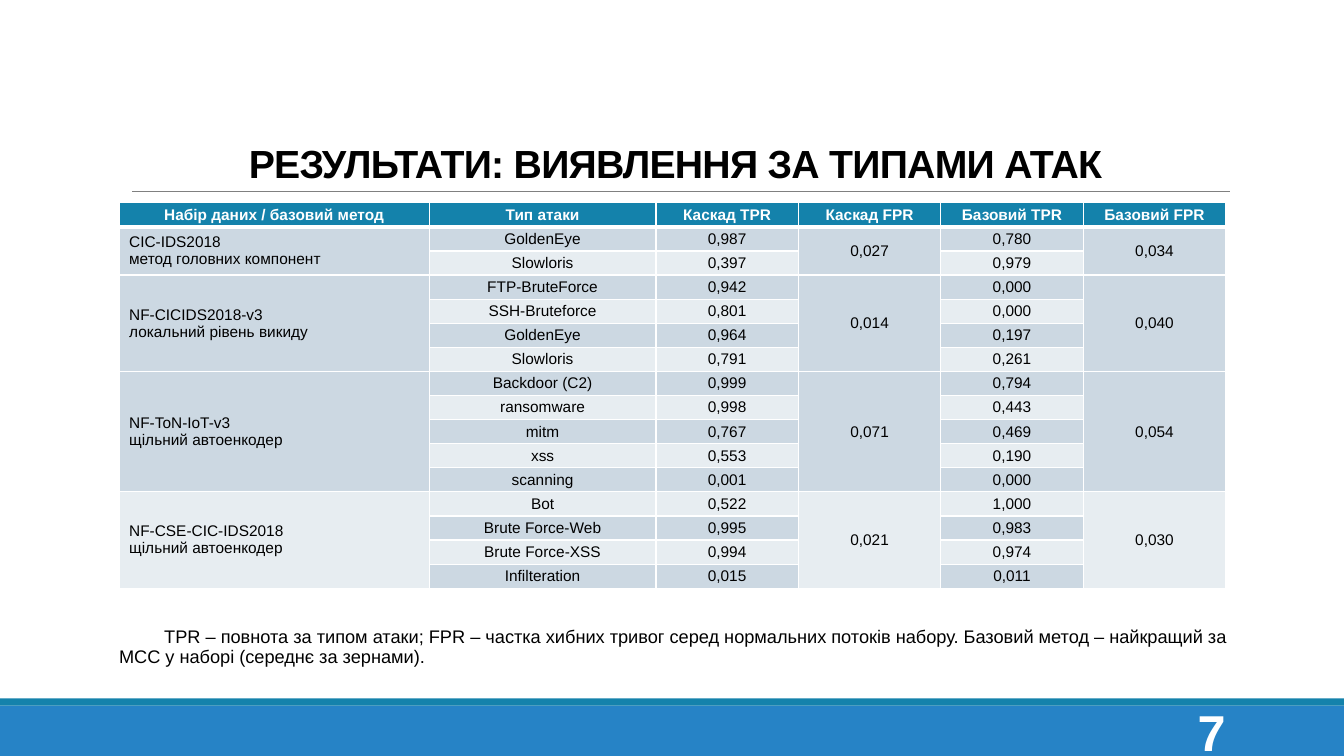
"""Build the slide with detection results by attack type."""
from dataclasses import dataclass

from lxml import etree
from pptx import Presentation
from pptx.dml.color import RGBColor
from pptx.enum.shapes import MSO_CONNECTOR, MSO_SHAPE
from pptx.enum.text import MSO_ANCHOR, PP_ALIGN
from pptx.oxml.ns import qn
from pptx.util import Cm, Pt

RECT, STRAIGHT = MSO_SHAPE.RECTANGLE, MSO_CONNECTOR.STRAIGHT
TOP, MIDDLE, BOTTOM = MSO_ANCHOR.TOP, MSO_ANCHOR.MIDDLE, MSO_ANCHOR.BOTTOM
LEFT, CENTER, RIGHT, JUSTIFY = PP_ALIGN.LEFT, PP_ALIGN.CENTER, PP_ALIGN.RIGHT, PP_ALIGN.JUSTIFY

TITLE = "РЕЗУЛЬТАТИ: ВИЯВЛЕННЯ ЗА ТИПАМИ АТАК"
NOTE = ("TPR – повнота за типом атаки; FPR – частка хибних тривог серед нормальних "
        "потоків набору. Базовий метод – найкращий за MCC у наборі (середнє за зернами).")
PAGE = "7"
HEADERS = ["Набір даних / базовий метод", "Тип атаки", "Каскад TPR",
           "Каскад FPR", "Базовий TPR", "Базовий FPR"]
GROUPS = [
    ("CIC-IDS2018\nметод головних компонент", "0,027", "0,034", [
        ("GoldenEye", "0,987", "0,780"),
        ("Slowloris", "0,397", "0,979")]),
    ("NF-CICIDS2018-v3\nлокальний рівень викиду", "0,014", "0,040", [
        ("FTP-BruteForce", "0,942", "0,000"),
        ("SSH-Bruteforce", "0,801", "0,000"),
        ("GoldenEye", "0,964", "0,197"),
        ("Slowloris", "0,791", "0,261")]),
    ("NF-ToN-IoT-v3\nщільний автоенкодер", "0,071", "0,054", [
        ("Backdoor (C2)", "0,999", "0,794"),
        ("ransomware", "0,998", "0,443"),
        ("mitm", "0,767", "0,469"),
        ("xss", "0,553", "0,190"),
        ("scanning", "0,001", "0,000")]),
    ("NF-CSE-CIC-IDS2018\nщільний автоенкодер", "0,021", "0,030", [
        ("Bot", "0,522", "1,000"),
        ("Brute Force-Web", "0,995", "0,983"),
        ("Brute Force-XSS", "0,994", "0,974"),
        ("Infilteration", "0,015", "0,011")]),
]
COL_WIDTHS = [7.82, 5.71] + [3.59] * 4
ROW_HEIGHT = 0.6
TABLE_LEFT, TABLE_TOP = 3.0, 5.11
MERGED_COLS = (0, 3, 5)


@dataclass(frozen=True)
class Theme:
    """Colours, font and type sizes."""
    font: str = "Arial"
    footer: str = "2683C6"
    accent: str = "1482AB"
    rule: str = "808080"
    text: str = "000000"
    white: str = "FFFFFF"
    bands: tuple = ("E7EDF1", "CCD8E2")
    title_size: int = 28
    note_size: int = 13
    page_size: int = 36
    table_size: int = 11


THEME = Theme()


def rgb(value):
    """Return a colour object."""
    return RGBColor.from_string(value)


def style(p, size, color, bold=False, align=LEFT):
    """Set alignment and font of a paragraph."""
    p.alignment = align
    p.font.name = THEME.font
    p.font.size = Pt(size)
    p.font.bold = bold
    p.font.color.rgb = rgb(color)


def add_bar(s, top, height, color):
    """Add a full-width footer bar."""
    bar = s.shapes.add_shape(RECT, 0, Cm(top), Cm(33.87), Cm(height))
    bar.shadow.inherit = False
    bar.fill.solid()
    bar.fill.fore_color.rgb = rgb(color)
    bar.line.fill.background()


def add_text(s, text, box, anchor, *look):
    """Add a wrapped text box and return its frame and paragraph."""
    tf = s.shapes.add_textbox(*map(Cm, box)).text_frame
    tf.word_wrap = True
    tf.vertical_anchor = anchor
    p = tf.paragraphs[0]
    p.text = text
    style(p, *look)
    return tf, p


def set_borders(cell, bottom):
    """Draw white borders around a cell."""
    tc_pr = cell._tc.get_or_add_tcPr()
    for side, width in (("L", 1), ("R", 1), ("T", 1), ("B", bottom)):
        ln = etree.SubElement(tc_pr, qn(f"a:ln{side}"), w=str(Pt(width)))
        fill = etree.SubElement(ln, qn("a:solidFill"))
        etree.SubElement(fill, qn("a:srgbClr"), val=THEME.white)


def format_cell(cell, row, col):
    """Apply borders, fill, margins and font to a cell."""
    header = row == 0
    set_borders(cell, 3 if header else 1)
    cell.fill.solid()
    cell.fill.fore_color.rgb = rgb(THEME.accent if header else THEME.bands[row % 2])
    cell.vertical_anchor = MIDDLE
    cell.margin_top = cell.margin_bottom = Cm(0.07)
    for p in cell.text_frame.paragraphs:
        style(p, THEME.table_size, THEME.white if header else THEME.text, header,
              CENTER if header or col else LEFT)


def add_results(s):
    """Add the results table with merged group cells."""
    n_rows = 1 + sum(len(attacks) for *_, attacks in GROUPS)
    table = s.shapes.add_table(n_rows, len(HEADERS), Cm(TABLE_LEFT), Cm(TABLE_TOP),
                               Cm(sum(COL_WIDTHS)), Cm(n_rows * ROW_HEIGHT)).table
    for column, width in zip(table.columns, COL_WIDTHS):
        column.width = Cm(width)
    for row in table.rows:
        row.height = Cm(ROW_HEIGHT)
    for col, label in enumerate(HEADERS):
        table.cell(0, col).text = label
    start = 1
    for *shared, attacks in GROUPS:
        for col, value in zip(MERGED_COLS, shared):
            table.cell(start, col).text = value
            table.cell(start, col).merge(table.cell(start + len(attacks) - 1, col))
        for row, attack in enumerate(attacks, start):
            for col, value in zip((1, 2, 4), attack):
                table.cell(row, col).text = value
        start += len(attacks)
    for row in range(n_rows):
        for col in range(len(HEADERS)):
            format_cell(table.cell(row, col), row, col)


def main():
    """Build and save the slide."""
    prs = Presentation()
    prs.slide_width, prs.slide_height = Cm(33.87), Cm(19.05)
    s = prs.slides.add_slide(prs.slide_layouts[6])

    add_bar(s, 17.78, 1.27, THEME.footer)
    add_bar(s, 17.6, 0.18, THEME.accent)
    rule = s.shapes.add_connector(STRAIGHT, Cm(3.33), Cm(4.82), Cm(31), Cm(4.82))
    rule.line.color.rgb = rgb(THEME.rule)
    rule.line.width = Pt(0.5)
    etree.SubElement(rule._element.spPr, qn("a:effectLst"))

    _, p = add_text(s, TITLE, (3.05, 1.52, 27.94, 3.3), BOTTOM,
                    THEME.title_size, THEME.text, True, CENTER)
    p.line_spacing = 0.85
    p.runs[0]._r.get_or_add_rPr().set("spc", "-50")

    tf, p = add_text(s, NOTE, (3, 15.7, 27.89, 1.5), TOP,
                     THEME.note_size, THEME.text, False, JUSTIFY)
    tf.margin_left = tf.margin_right = 0
    p.line_spacing = 0.9
    p._p.get_or_add_pPr().set("indent", str(Cm(1.14)))

    add_text(s, PAGE, (27.51, 17.93, 3.63, 1.02), MIDDLE,
             THEME.page_size, THEME.white, True, RIGHT)
    add_results(s)
    prs.save("out.pptx")


if __name__ == "__main__":
    main()
